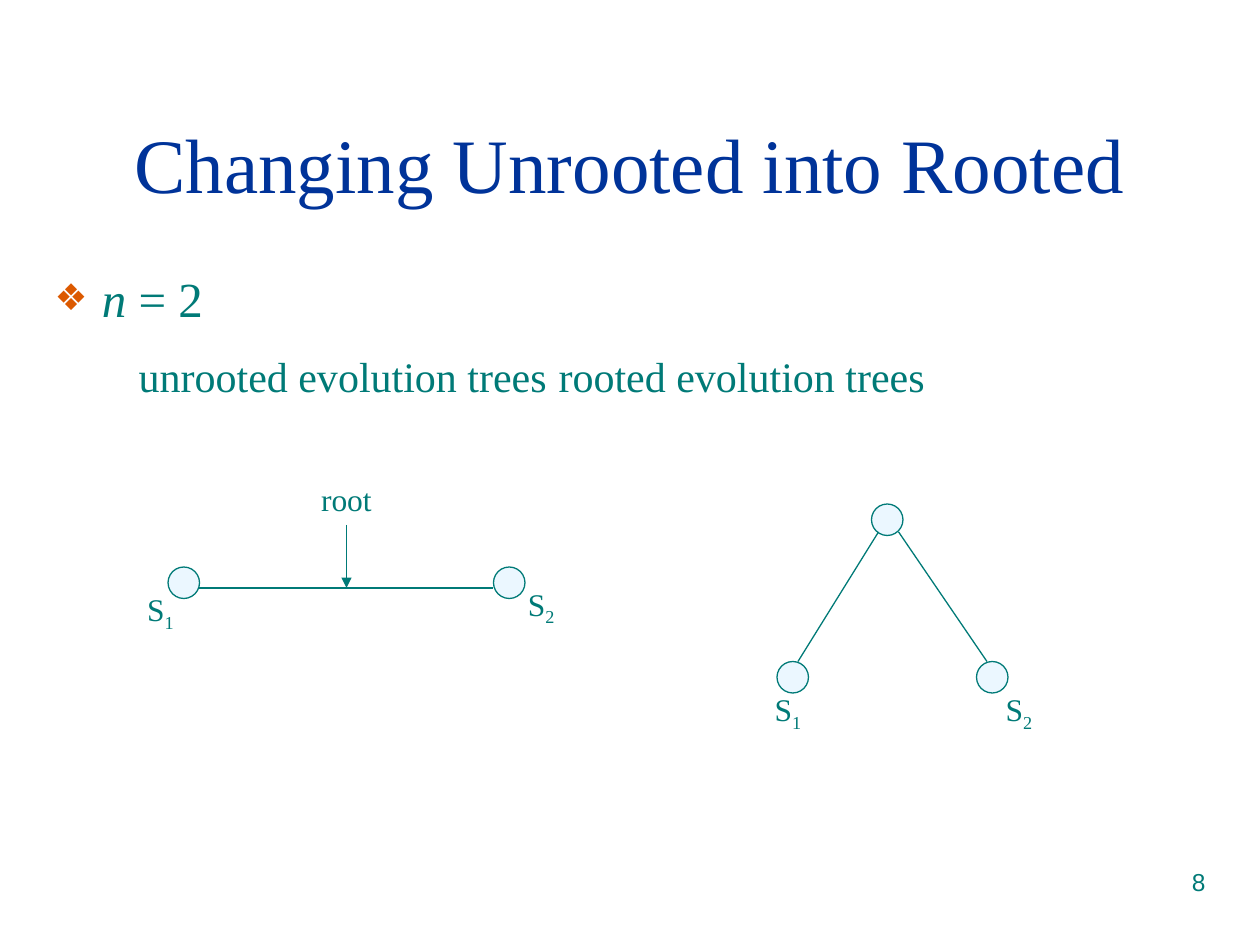
from lxml.etree import SubElement as Sub
from pptx import Presentation
from pptx.dml.color import RGBColor
from pptx.enum.shapes import MSO_CONNECTOR as Conn, MSO_SHAPE as Shape
from pptx.enum.text import MSO_ANCHOR as Anchor, MSO_AUTO_SIZE as Fit, PP_ALIGN as Align
from pptx.oxml.ns import qn
from pptx.util import Pt

BLUE = RGBColor(0x00, 0x33, 0x99)
TEAL = RGBColor(0x00, 0x7A, 0x77)
PALE = RGBColor(0xEB, 0xF7, 0xFF)
RUST = "DC5900"
SERIF = "Times New Roman"
NODE = 18  # node diameter


def style(font, size, color=TEAL, face=SERIF):
    font.size, font.name = Pt(size), face
    font.color.rgb = color


def place(shape, x, y, w, h):
    shape.left, shape.top, shape.width, shape.height = Pt(x), Pt(y), Pt(w), Pt(h)


def add_text(slide, x, y, w, h, text, size=18, face=SERIF):
    box = slide.shapes.add_textbox(Pt(x), Pt(y), Pt(w), Pt(h))
    box.text_frame.text = text
    para = box.text_frame.paragraphs[0]
    style(para.runs[0].font, size, face=face)
    return para


def add_label(slide, x, y, sub):
    para = add_text(slide, x, y, 29.5, 31.7, "S")
    run = para.add_run()
    run.text = sub
    style(run.font, 18)
    run.font._element.set("baseline", "-25000")


def add_node(slide, x, y):
    node = slide.shapes.add_shape(Shape.OVAL, Pt(x), Pt(y), Pt(NODE), Pt(NODE))
    node.shadow.inherit = False
    node.fill.solid()
    node.fill.fore_color.rgb = PALE
    node.line.color.rgb = TEAL
    node.line.width = Pt(0.75)


def add_line(slide, x1, y1, x2, y2, arrow=False):
    line = slide.shapes.add_connector(Conn.STRAIGHT, Pt(x1), Pt(y1), Pt(x2), Pt(y2))
    line.line.color.rgb = TEAL
    line.line.width = Pt(0.75)
    if arrow:
        Sub(line.line._get_or_add_ln(), qn("a:tailEnd"), type="triangle")
    Sub(line._element.spPr, qn("a:effectLst"))


def add_title(slide, x, y, w, h):
    title = slide.shapes.title
    place(title, x, y, w, h)
    frame = title.text_frame
    frame.text = "Changing Unrooted into Rooted"
    frame.auto_size = Fit.NONE
    frame.vertical_anchor = Anchor.MIDDLE
    para = frame.paragraphs[0]
    para.alignment = Align.CENTER
    style(para.runs[0].font, 44, BLUE)


def add_body(slide, x, y, w, h):
    body = slide.placeholders[1]
    place(body, x, y, w, h)
    frame = body.text_frame
    frame.auto_size = Fit.NONE

    # Bulleted case
    case = frame.paragraphs[0]
    props = case._p.get_or_add_pPr()
    props.set("marL", str(Pt(27)))
    props.set("indent", str(Pt(-27)))
    Sub(Sub(props, qn("a:buClr")), qn("a:srgbClr"), val=RUST)
    Sub(props, qn("a:buSzPct"), val="75000")
    Sub(props, qn("a:buChar"), char="❖")
    case.space_before = Pt(0)
    for text, slant in (("n ", True), ("= 2", False)):
        run = case.add_run()
        run.text = text
        style(run.font, 28)
        run.font.italic = slant

    # Headings of the two trees, split by a tab
    heads = frame.add_paragraph()
    heads.text = "unrooted evolution trees\trooted evolution trees"
    props = heads._p.get_or_add_pPr()
    props.set("marL", "0")
    props.set("indent", str(Pt(48)))
    Sub(props, qn("a:buNone"))
    Sub(Sub(props, qn("a:tabLst")), qn("a:tab"), pos=str(Pt(317)), algn="l")
    heads.space_before = Pt(13)
    for run in heads.runs:
        style(run.font, 24)


def add_unrooted(slide, x, y):
    left, right, top = x + 19, x + 205, y + 53
    edge, mid = top + 12, x + 121
    for at in (left, right):
        add_node(slide, at, top)
    add_line(slide, left + NODE, edge, right, edge)
    add_line(slide, mid, edge - 36, mid, edge, arrow=True)
    add_text(slide, mid - 21.6, y, 43.2, 28.8, "root")
    add_label(slide, x, y + 62.5, "1")
    add_label(slide, x + 217.5, y + 59.5, "2")


def add_rooted(slide, x, y):
    low = y + 90
    add_node(slide, x + 62, y)
    for at in (x + 8, x + 122):
        add_node(slide, at, low)
    add_line(slide, x + 77.5, y + 16, x + 128, low)
    add_line(slide, x + 66, y + 16, x + 20, low)
    add_label(slide, x - 0.5, low + 13, "1")
    add_label(slide, x + 131.5, low + 13, "2")


def main():
    deck = Presentation()
    deck.slide_width, deck.slide_height = Pt(720), Pt(540)
    slide = deck.slides.add_slide(deck.slide_layouts[1])
    add_title(slide, 24, 48, 672, 90)
    add_body(slide, 24, 150, 672, 330)
    add_unrooted(slide, 77, 271)
    add_rooted(slide, 436, 288)
    # Page number
    page = add_text(slide, 516, 492, 180, 37.5, "8", 14, "Arial")
    page.alignment = Align.RIGHT
    deck.save("out.pptx")


if __name__ == "__main__":
    main()
